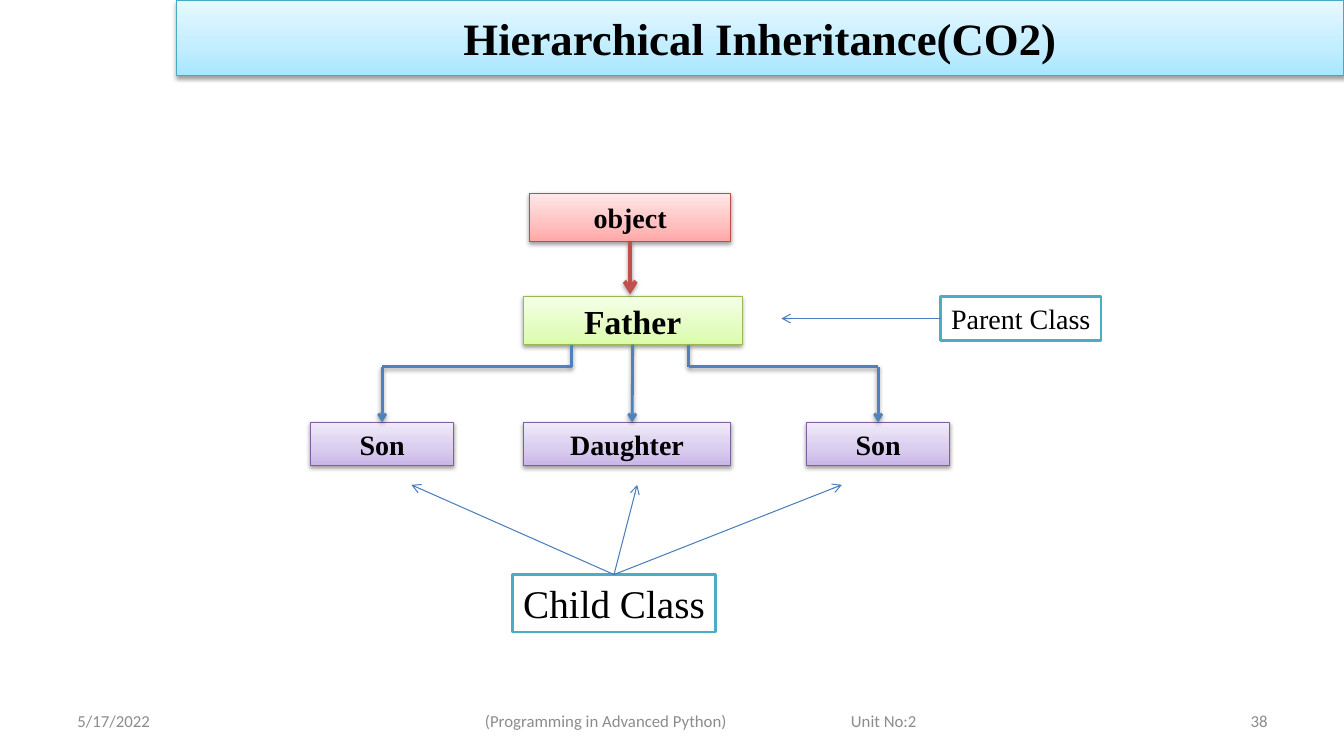
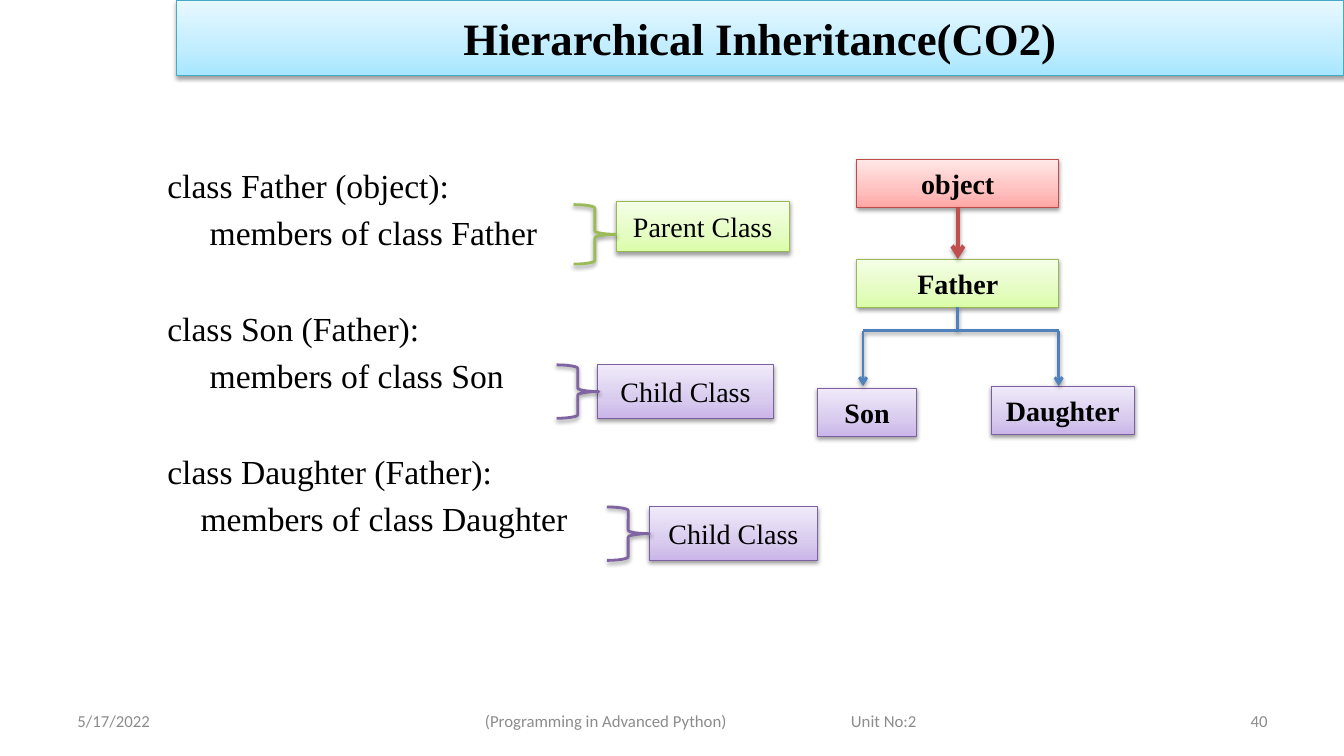
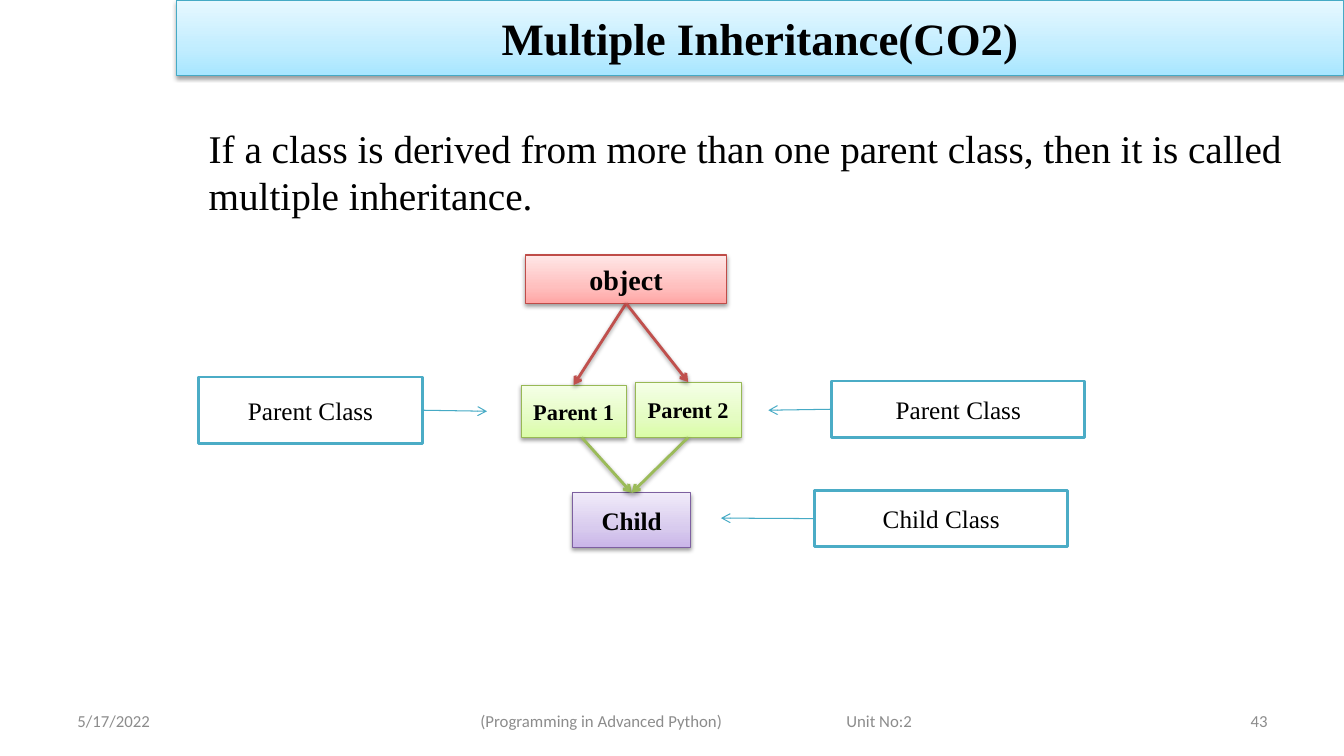
from dataclasses import dataclass

from lxml.etree import SubElement
from pptx import Presentation
from pptx.dml.color import RGBColor
from pptx.enum.shapes import MSO_CONNECTOR, MSO_SHAPE
from pptx.enum.text import MSO_ANCHOR, MSO_AUTO_SIZE, PP_ALIGN
from pptx.oxml.ns import qn
from pptx.util import Inches, Pt


@dataclass(frozen=True)
class Theme:
    font: str = "Times New Roman"
    footer_font: str = "Calibri"
    ink: str = "000000"
    grey: str = "8C8C8C"
    title: int = 32
    definition: int = 28
    code: int = 24
    label: int = 20
    note: int = 18
    parent: int = 16
    footer: int = 12
    thin: float = 0.75
    medium: float = 2
    thick: float = 3


THEME = Theme()
WIDTH, HEIGHT = 13.33, 7.5
TOP, LEFT, BOTTOM, RIGHT = range(4)

GRADIENTS = {
    "aqua": (("A7E6FF", "C1EDFF", "E7F8FF"), "46AAC5"),
    "red": (("FFA6A5", "FFC0BF", "FFE7E7"), "BF4C48"),
    "green": (("DAFDA7", "E4FCC2", "F5FFE7"), "98B955"),
    "purple": (("C9B5E8", "D8CBEE", "F0EAF9"), "7D60A0"),
}
LINES = {
    "red": "C0504D", "green": "9BBB59", "purple": "8064A2", "blue": "4F81BD",
    "pointer": "4B7EBC", "aqua": "46AAC5", "frame": "4BACC6",
}

BOLD = {"bold": True}
FATHER = {"bold": True, "size": THEME.code}
PARENT = {"bold": True, "size": THEME.parent}
CHILD = {"bold": True, "size": THEME.note}
NOTE = {"size": THEME.note}
THICK = {"weight": THEME.thick}
PLAIN = {"arrow": False}
POINTER = {"weight": THEME.thin, "shadow": False}

SLIDES = [
    {
        "title": "Hierarchical Inheritance(CO2)", "number": "38", "footer_width": 7.42,
        "boxes": {
            "object": ("object", "red", (5.25, 1.92, 2, 0.48), BOLD),
            "father": ("Father", "green", (5.19, 2.94, 2.17, 0.48), FATHER),
            "son one": ("Son", "purple", (3.08, 4.19, 1.42, 0.43), BOLD),
            "daughter": ("Daughter", "purple", (5.19, 4.19, 2.06, 0.43), BOLD),
            "son two": ("Son", "purple", (8, 4.19, 1.42, 0.43), BOLD),
            "parent note": ("Parent Class", "frame", (9.33, 2.94, 1.59, 0.44), {}),
            "child note": ("Child Class", "frame", (5.08, 5.7, 2.02, 0.57), {"size": THEME.definition}),
        },
        "paths": [
            ("red", [("object", BOTTOM), (6.25, 2.92)], THICK),
            ("blue", [("father", BOTTOM), (6.27, 4.19)], {}),
            ("blue", [(5.67, 3.42), (5.67, 3.64), (3.79, 3.64), ("son one", TOP)], {}),
            ("blue", [(6.83, 3.42), (6.83, 3.64), (8.71, 3.64), ("son two", TOP)], {}),
            ("pointer", [("parent note", LEFT), (7.75, 3.16)], POINTER),
            *(("pointer", [("child note", TOP), (x, 4.81)], POINTER) for x in (4.08, 6.32, 8.35)),
        ],
    },
    {
        "title": "Hierarchical Inheritance(CO2)", "number": "40", "footer_width": 7.42,
        "body": {
            "at": (1.56, 1.59, 4.89, 4.24), "size": THEME.code, "gap": 39.5,
            "groups": [
                [("class Father (object):", 0), ("members of class Father", 0.42)],
                [("class Son (Father):", 0), ("members of class Son", 0.42)],
                [("class Daughter (Father):", 0), ("members of class Daughter", 0.33)],
            ],
        },
        "boxes": {
            "object": ("object", "red", (8.5, 1.58, 2, 0.48), BOLD),
            "father": ("Father", "green", (8.5, 2.57, 2, 0.48), BOLD),
            "son": ("Son", "purple", (8.11, 3.85, 0.98, 0.48), BOLD),
            "daughter": ("Daughter", "purple", (9.83, 3.83, 1.42, 0.48), BOLD),
            "parent note": ("Parent Class", "green", (6.11, 2, 1.72, 0.5), {}),
            "son note": ("Child Class", "purple", (5.93, 3.62, 1.74, 0.53), {}),
            "daughter note": ("Child Class", "purple", (6.44, 5.03, 1.67, 0.53), {}),
        },
        "braces": [
            ("green", (5.69, 2.03, 0.42, 0.59)),
            ("purple", (5.52, 3.62, 0.42, 0.53)),
            ("purple", (6.02, 5.03, 0.42, 0.53)),
        ],
        "paths": [
            ("red", [("object", BOTTOM), ("father", TOP)], THICK),
            ("blue", [("father", BOTTOM), (9.5, 3.28)], PLAIN),
            ("blue", [(9.5, 3.28), (8.56, 3.28), (8.56, 3.83)], {}),
            ("blue", [(9.5, 3.28), (10.5, 3.28), (10.5, 3.83)], {}),
        ],
    },
    {
        "title": "Multiple Inheritance(CO2)", "number": "43", "footer_width": 7.33,
        "body": {
            "at": (1.97, 1.18, 11.03, 1.88), "size": THEME.definition, "gap": 0,
            "groups": [[(
                "If a class is derived from more than one parent class, "
                "then it is called multiple inheritance.", 0)]],
        },
        "boxes": {
            "object": ("object", "red", (5.21, 2.53, 2, 0.48), BOLD),
            "parent one": ("Parent 1", "green", (5.17, 3.82, 1.04, 0.52), PARENT),
            "parent two": ("Parent 2", "green", (6.3, 3.79, 1.05, 0.55), PARENT),
            "child": ("Child", "purple", (5.68, 4.89, 1.17, 0.54), CHILD),
            "left note": ("Parent Class", "frame", (1.97, 3.74, 2.22, 0.66), NOTE),
            "right note": ("Parent Class", "frame", (8.25, 3.78, 2.51, 0.56), NOTE),
            "child note": ("Child Class", "frame", (8.08, 4.87, 2.51, 0.55), NOTE),
        },
        "paths": [
            ("red", [("object", BOTTOM), ("parent one", TOP)], {}),
            ("red", [("object", BOTTOM), ("parent two", TOP)], {}),
            ("green", [(5.77, 4.34), ("child", TOP)], {}),
            ("green", [("parent two", BOTTOM), ("child", TOP)], {}),
            ("aqua", [("left note", RIGHT), (4.83, 4.08)], POINTER),
            ("aqua", [("right note", LEFT), (7.62, 4.07)], POINTER),
            ("aqua", [("child note", LEFT), (7.15, 5.14)], POINTER),
        ],
    },
]


def inches(values):
    return [Inches(value) for value in values]


def place(shape, at):
    shape.left, shape.top, shape.width, shape.height = inches(at)


def write(para, text, size=THEME.label, font=THEME.font, color=THEME.ink, bold=False, align=None):
    span = para.add_run()
    span.text = text
    span.font.size = Pt(size)
    span.font.name = font
    span.font.bold = bold
    span.font.color.rgb = RGBColor.from_string(color)
    if align is not None:
        para.alignment = align


def outline(shape, color, weight):
    shape.line.color.rgb = RGBColor.from_string(color)
    shape.line.width = Pt(weight)


def set_effects(shape, shadow):
    effects = SubElement(shape._element.spPr, qn("a:effectLst"))
    if shadow:
        outer = SubElement(effects, qn("a:outerShdw"), blurRad="40000", dist="20000",
                           dir="5400000", rotWithShape="0")
        black = SubElement(outer, qn("a:srgbClr"), val="000000")
        SubElement(black, qn("a:alpha"), val="38000")


def paint(shape, style):
    if style not in GRADIENTS:
        shape.fill.solid()
        shape.fill.fore_color.rgb = RGBColor(255, 255, 255)
        outline(shape, LINES[style], THEME.medium)
        set_effects(shape, False)
        return
    colors, edge = GRADIENTS[style]
    shape.fill.gradient()
    gradient = shape._element.spPr.find(qn("a:gradFill"))
    for part in list(gradient):
        gradient.remove(part)
    stops = SubElement(gradient, qn("a:gsLst"))
    for position, color in zip((0, 35000, 100000), colors):
        stop = SubElement(stops, qn("a:gs"), pos=str(position))
        SubElement(stop, qn("a:srgbClr"), val=color)
    SubElement(gradient, qn("a:lin"), ang="16200000", scaled="0")
    outline(shape, edge, THEME.thin)
    set_effects(shape, True)


def add_box(page, text, style, at, **format):
    box = page.shapes.add_shape(MSO_SHAPE.RECTANGLE, *inches(at))
    paint(box, style)
    box.text_frame.word_wrap = False
    box.text_frame.vertical_anchor = MSO_ANCHOR.MIDDLE
    write(box.text_frame.paragraphs[0], text, align=PP_ALIGN.CENTER, **format)
    return box


def add_brace(page, color, at):
    brace = page.shapes.add_shape(MSO_SHAPE.RIGHT_BRACE, *inches(at))
    brace.fill.background()
    outline(brace, LINES[color], THEME.medium)
    set_effects(brace, True)


def add_path(page, boxes, color, points, weight=THEME.medium, arrow=True, shadow=True):
    for index, (start, end) in enumerate(zip(points, points[1:])):
        corners = [(0, 0) if isinstance(point[0], str) else point for point in (start, end)]
        line = page.shapes.add_connector(MSO_CONNECTOR.STRAIGHT, *inches(corners[0] + corners[1]))
        for point, join in ((start, line.begin_connect), (end, line.end_connect)):
            if isinstance(point[0], str):
                join(boxes[point[0]], point[1])
        outline(line, LINES[color], weight)
        if arrow and index == len(points) - 2:
            SubElement(line.line._get_or_add_ln(), qn("a:tailEnd"), type="arrow")
        set_effects(line, shadow)


def fill_title(page, text):
    title = page.shapes.title
    place(title, (1.75, 0, WIDTH - 1.75, 0.75))
    paint(title, "aqua")
    title.text_frame.auto_size = MSO_AUTO_SIZE.NONE
    title.text_frame.vertical_anchor = MSO_ANCHOR.MIDDLE
    write(title.text_frame.paragraphs[0], text, size=THEME.title, bold=True, align=PP_ALIGN.CENTER)


def fill_body(page, at, size, gap, groups):
    body = page.placeholders[1]
    place(body, at)
    frame = body.text_frame
    frame.auto_size = MSO_AUTO_SIZE.NONE
    lines = [(number > 0 and row == 0, *line)
             for number, group in enumerate(groups) for row, line in enumerate(group)]
    for index, (opens_group, text, indent) in enumerate(lines):
        para = frame.add_paragraph() if index else frame.paragraphs[0]
        if opens_group:
            para.space_before = Pt(gap)
        properties = para._p.get_or_add_pPr()
        properties.set("marL", str(Inches(indent)))
        properties.set("indent", "0")
        SubElement(properties, qn("a:buNone"))
        write(para, text, size=size)


def add_footer(page, number, width):
    text_width, tab = 4.3, 3.63
    inset = (width - text_width) / 2
    parts = [
        ("5/17/2022", 0.67, 3.11, 0.1, PP_ALIGN.LEFT),
        ("(Programming in Advanced Python)\tUnit No:2", 3.25, width, inset, PP_ALIGN.LEFT),
        (number, 9.56, 3.11, 0.1, PP_ALIGN.RIGHT),
    ]
    for text, left, box_width, margin, align in parts:
        box = page.shapes.add_textbox(*inches((left, 6.95, box_width, 0.4)))
        frame = box.text_frame
        frame.word_wrap = True
        frame.vertical_anchor = MSO_ANCHOR.MIDDLE
        frame.margin_left = Inches(margin)
        para = frame.paragraphs[0]
        write(para, text, size=THEME.footer, font=THEME.footer_font, color=THEME.grey, align=align)
        if "\t" in text:
            stops = SubElement(para._p.get_or_add_pPr(), qn("a:tabLst"))
            SubElement(stops, qn("a:tab"), pos=str(Inches(tab)), algn="l")


def build_slide(deck, content):
    page = deck.slides.add_slide(deck.slide_layouts[1 if "body" in content else 5])
    fill_title(page, content["title"])
    if "body" in content:
        fill_body(page, **content["body"])
    boxes = {name: add_box(page, text, style, at, **format)
             for name, (text, style, at, format) in content["boxes"].items()}
    for brace in content.get("braces", []):
        add_brace(page, *brace)
    for color, points, format in content["paths"]:
        add_path(page, boxes, color, points, **format)
    add_footer(page, content["number"], content["footer_width"])


def main():
    deck = Presentation()
    deck.slide_width, deck.slide_height = inches((WIDTH, HEIGHT))
    for content in SLIDES:
        build_slide(deck, content)
    deck.save("out.pptx")


if __name__ == "__main__":
    main()
